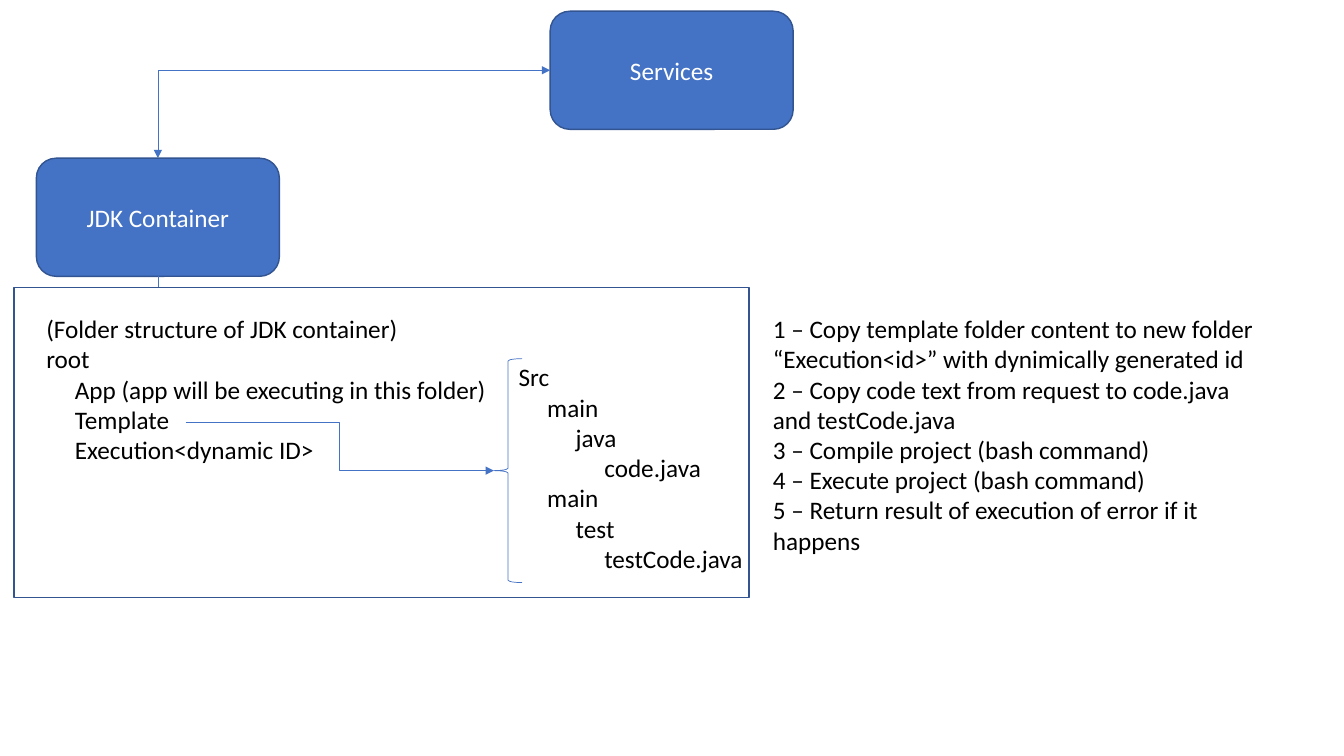
import pptx
import pptx.dml.color
import pptx.enum.shapes
import pptx.enum.text
import pptx.oxml.ns
import pptx.util
from lxml import etree

Pt = pptx.util.Pt
SHAPES = pptx.enum.shapes.MSO_SHAPE
CONNECTORS = pptx.enum.shapes.MSO_CONNECTOR
BLUE, DARK_BLUE, WHITE, BLACK = "4472C4", "325491", "FFFFFF", "000000"
INDENT = 20.4

FOLDERS = [
    (0, "(Folder structure of JDK container)"),
    (0, "root"),
    (1, "App (app will be executing in this folder)"),
    (1, "Template"),
    (1, "Execution<dynamic ID>"),
]
TEMPLATE_TREE = [
    (0, "Src"),
    (1, "main"),
    (2, "java"),
    (3, "code.java"),
    (1, "main"),
    (2, "test"),
    (3, "testCode.java"),
]
STEPS = [
    (0, "1 – Copy template folder content to new folder “Execution<id>” with dynimically generated id"),
    (0, "2 – Copy code text from request to code.java and testCode.java"),
    (0, "3 – Compile project (bash command)"),
    (0, "4 – Execute project (bash command)"),
    (0, "5 – Return result of execution of error if it happens"),
]


def color(value):
    return pptx.dml.color.RGBColor.from_string(value)


def format_runs(paragraph, value):
    for run in paragraph.runs:
        run.font.name = "Calibri"
        run.font.size = Pt(18)
        run.font.color.rgb = color(value)


def add_outline(slide, preset, bounds, line, weight, fill=None):
    outline = slide.shapes.add_shape(preset, *map(Pt, bounds))
    outline.shadow.inherit = False
    if fill:
        outline.fill.solid()
        outline.fill.fore_color.rgb = color(fill)
    else:
        outline.fill.background()
    outline.line.color.rgb = color(line)
    outline.line.width = Pt(weight)
    return outline


def add_node(slide, label, left, top):
    node = add_outline(slide, SHAPES.ROUNDED_RECTANGLE, (left, top, 173.6, 84.4),
                       DARK_BLUE, 1, BLUE)
    node.text_frame.text = label
    node.text_frame.vertical_anchor = pptx.enum.text.MSO_ANCHOR.MIDDLE
    paragraph = node.text_frame.paragraphs[0]
    paragraph.alignment = pptx.enum.text.PP_ALIGN.CENTER
    format_runs(paragraph, WHITE)
    return node


def add_lines(slide, lines, bounds, wrap=False):
    frame = slide.shapes.add_textbox(*map(Pt, bounds)).text_frame
    frame.word_wrap = wrap
    frame.auto_size = pptx.enum.text.MSO_AUTO_SIZE.SHAPE_TO_FIT_TEXT
    frame.text = "\n".join(text for level, text in lines)
    for paragraph, (level, text) in zip(frame.paragraphs, lines):
        if level:
            properties = paragraph._p.get_or_add_pPr()
            properties.set("marL", str(Pt(level * INDENT)))
            properties.set("indent", "0")
        format_runs(paragraph, BLACK)


def add_link(slide, kind, start, end, arrows=()):
    link = slide.shapes.add_connector(kind, *map(Pt, start + end))
    link.line.color.rgb = color(BLUE)
    link.line.width = Pt(0.5)
    line = link.line._get_or_add_ln()
    for arrow in arrows:
        etree.SubElement(line, pptx.oxml.ns.qn("a:" + arrow), type="triangle")
    etree.SubElement(link._element.spPr, pptx.oxml.ns.qn("a:effectLst"))
    return link


def main():
    presentation = pptx.Presentation()
    presentation.slide_width, presentation.slide_height = Pt(960), Pt(540)
    slide = presentation.slides.add_slide(presentation.slide_layouts[6])

    add_lines(slide, TEMPLATE_TREE, (363.4, 254.9, 177.1, 160))
    add_node(slide, "Services", 393, 8)
    add_node(slide, "JDK Container", 26, 113)
    add_lines(slide, FOLDERS, (26, 220.3, 332.6, 116.6))
    add_outline(slide, SHAPES.LEFT_BRACE, (352.8, 256.2, 20.2, 160), BLUE, 0.5)
    add_link(slide, CONNECTORS.ELBOW, (132.6, 301.8), (352.8, 336.2), ["tailEnd"])
    add_lines(slide, STEPS, (545, 220.3, 370.8, 203.8), wrap=True)
    services_link = add_link(slide, CONNECTORS.ELBOW, (393, 50.2), (112.8, 113),
                             ["headEnd", "tailEnd"])
    services_link._element.spPr.find(pptx.oxml.ns.qn("a:prstGeom")).set("prst", "bentConnector2")
    add_outline(slide, SHAPES.RECTANGLE, (10, 205.2, 525, 221.8), DARK_BLUE, 1)
    add_link(slide, CONNECTORS.STRAIGHT, (112.8, 197.4), (112.8, 205.2))

    presentation.save("out.pptx")


if __name__ == "__main__":
    main()
